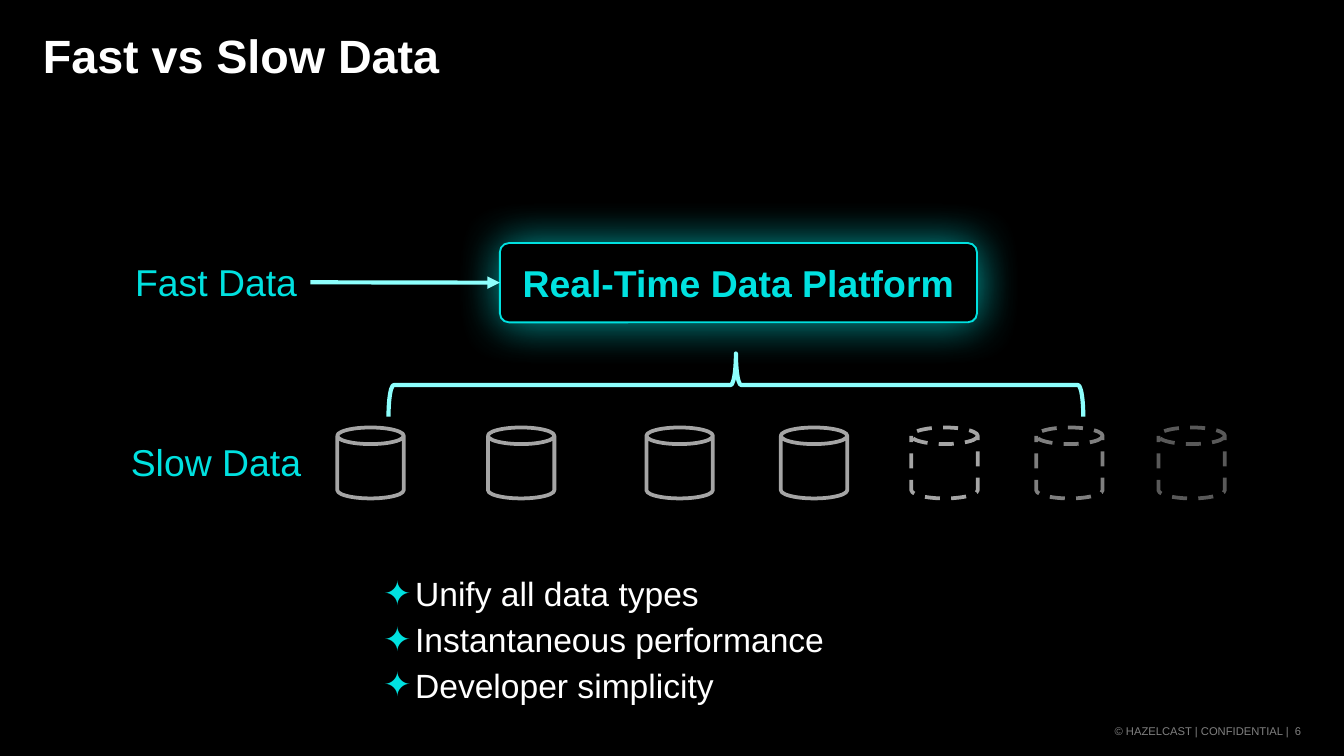
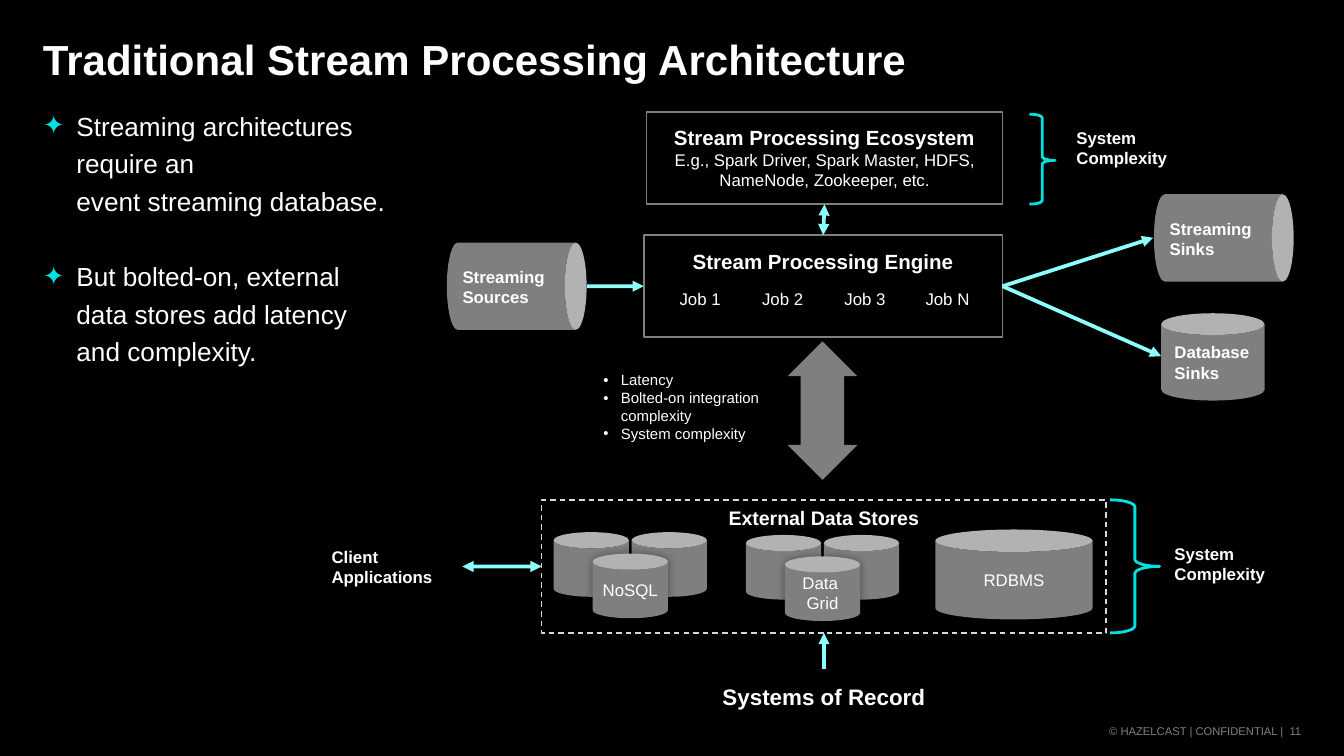
"""Build two dark slides on fast data and stream processing."""
import pptx
import pptx.dml.color
import pptx.enum.dml
import pptx.enum.shapes
import pptx.enum.text
import pptx.oxml
import pptx.oxml.ns
import pptx.util

Pt = pptx.util.Pt
rgb = pptx.dml.color.RGBColor.from_string
SHAPE = pptx.enum.shapes.MSO_SHAPE
ALIGN = pptx.enum.text.PP_ALIGN
ANCHOR = pptx.enum.text.MSO_ANCHOR
DASH = pptx.enum.dml.MSO_LINE.DASH
CENTER, RIGHT, MIDDLE = ALIGN.CENTER, ALIGN.RIGHT, ANCHOR.MIDDLE
NS = pptx.oxml.ns.nsdecls("a")

BLACK, WHITE, GRAY, SILVER = "000000", "FFFFFF", "7F7F7F", "A5A5A5"
CYAN, PALE = "00E1E0", "8DFFFD"
FONT = "Arial"
STAR = ("✦", CYAN)
SNUG = (5, 3, 5, 3)
WIDE = (7.2, 3.6, 7.2, 3.6)
EVEN = (7.2, 7.2, 7.2, 7.2)
THIN = (3, 3, 3, 3)
NONE = (0, 0, 0, 0)


def put(slide, kind, box, fill=None, line=None, width=1, dash=None,
        turn=0, adjust=(), glow=None):
    """Add a preset shape, or a text box when kind is None."""
    box = [Pt(v) for v in box]
    if kind is None:
        return slide.shapes.add_textbox(*box)
    shape = slide.shapes.add_shape(kind, *box)
    shape.shadow.inherit = False
    shape.rotation = turn
    for i, value in enumerate(adjust):
        shape.adjustments[i] = value
    if fill:
        shape.fill.solid()
        shape.fill.fore_color.rgb = rgb(fill)
    else:
        shape.fill.background()
    if line:
        shape.line.color.rgb = rgb(line)
        shape.line.width = Pt(width)
        shape.line.dash_style = dash
    else:
        shape.line.fill.background()
    if glow:
        color, alpha, blur = glow
        effect = shape._element.spPr.find(pptx.oxml.ns.qn("a:effectLst"))
        effect.append(pptx.oxml.parse_xml(
            f'<a:outerShdw {NS} blurRad="{Pt(blur)}" dist="0" dir="0" algn="ctr" '
            f'rotWithShape="0"><a:srgbClr val="{color}">'
            f'<a:alpha val="{alpha * 1000}"/></a:srgbClr></a:outerShdw>'))
    return shape


def write(shape, texts, size, color=WHITE, bold=False, align=ALIGN.LEFT,
          anchor=ANCHOR.TOP, inset=SNUG, space=None, before=0, bullet=None,
          indent=(0, 0)):
    """Fill a shape with paragraphs; a newline is a line break."""
    frame = shape.text_frame
    frame.word_wrap = True
    frame.auto_size = pptx.enum.text.MSO_AUTO_SIZE.NONE
    frame.vertical_anchor = anchor
    (frame.margin_left, frame.margin_top,
     frame.margin_right, frame.margin_bottom) = [Pt(v) for v in inset]
    for n, text in enumerate(texts):
        para = frame.add_paragraph() if n else frame.paragraphs[0]
        para.alignment = align
        para.space_before = Pt(before if n else 0)
        if space:
            para.line_spacing = space
        if bullet:
            mark, tint = bullet
            props = para._p.get_or_add_pPr()
            props.set("marL", str(Pt(indent[0])))
            props.set("indent", str(Pt(indent[1])))
            for xml in (f'<a:buClr {NS}><a:srgbClr val="{tint}"/></a:buClr>',
                        f'<a:buFont {NS} typeface="{FONT}"/>',
                        f'<a:buChar {NS} char="{mark}"/>'):
                props.append(pptx.oxml.parse_xml(xml))
        for i, part in enumerate(text.split("\n")):
            if i:
                para.add_line_break()
            run = para.add_run()
            run.text = part
            run.font.name = FONT
            run.font.size = Pt(size)
            run.font.bold = bold
            run.font.color.rgb = rgb(color)
    return shape


deck = pptx.Presentation()
deck.slide_width, deck.slide_height = Pt(720), Pt(405)
ground = deck.slide_master.background.fill
ground.solid()
ground.fore_color.rgb = rgb(BLACK)

pages = []
for title, size, inset, number in (
        ("Fast vs Slow Data", 25, (5, 0, 5, 0), 6),
        ("Traditional Stream Processing Architecture", 22.5, SNUG, 11)):
    page = deck.slides.add_slide(deck.slide_layouts[5])
    head = page.shapes.title
    head.left, head.top, head.width, head.height = Pt(18), Pt(18), Pt(684), Pt(28)
    write(head, [title], size, bold=True, inset=inset, space=0.9)
    write(put(page, None, (507, 385.2, 195, 12.2)),
          [f"© HAZELCAST | CONFIDENTIAL |  {number}"], 6, "808080", align=RIGHT)
    pages.append(page)
fast, stream = pages

for left, color, dash in (
        (180.7, SILVER, None), (261.4, SILVER, None), (346.3, SILVER, None),
        (418.3, SILVER, None), (488.2, SILVER, DASH), (555.1, GRAY, DASH),
        (620.6, "595959", DASH)):
    put(fast, SHAPE.CAN, (left, 229, 35.6, 38), line=color, width=2, dash=dash)
write(put(fast, None, (62, 231.8, 106.5, 31.5)), ["Slow Data"], 20, CYAN,
      align=RIGHT, inset=WIDE)
label = write(put(fast, None, (64, 135.5, 102.3, 31.5)), ["Fast Data"], 20, CYAN,
              align=RIGHT, inset=WIDE)
platform = put(fast, SHAPE.ROUNDED_RECTANGLE, (267.8, 130.2, 255.6, 42.5), BLACK,
               CYAN, adjust=[0.115], glow=(CYAN, 73, 24))
write(platform, ["Real-Time Data Platform"], 20, CYAN, True, CENTER, MIDDLE, WIDE)
put(fast, SHAPE.LEFT_BRACE, (377.3, 20.2, 33.8, 372.2), line=PALE, width=2.25,
    turn=90, adjust=[0.083, 0.5])
write(put(fast, None, (197.3, 306, 423.4, 81.4)),
      ["Unify all data types", "Instantaneous performance", "Developer simplicity"],
      18, inset=WIDE, space=0.9, before=5, bullet=STAR, indent=(18, -17))

write(put(stream, None, (18, 52.6, 194.4, 322.6)),
      ["Streaming architectures require an\nevent streaming database.",
       "But bolted-on, external data stores add latency and complexity."],
      14, space=1.2, before=20, bullet=STAR, indent=(18, -18))
put(stream, SHAPE.UP_DOWN_ARROW, (421.9, 182.9, 37.4, 74.2), GRAY,
    adjust=[0.588, 0.621])
write(put(stream, None, (318.2, 195.8, 108.7, 43.9)),
      ["Latency", "Bolted-on integration complexity", "System complexity"],
      8, bullet=("•", WHITE), indent=(9.4, -9.4))

system = put(stream, SHAPE.RECTANGLE, (346.3, 59.8, 190.8, 49.7), BLACK, GRAY)
write(system, ["Stream Processing Ecosystem",
               "E.g., Spark Driver, Spark Master, HDFS, NameNode, Zookeeper, etc."],
      11, bold=True, align=CENTER, inset=EVEN)
detail = system.text_frame.paragraphs[1].runs[0].font
detail.size, detail.bold = Pt(9), False
engine = put(stream, SHAPE.RECTANGLE, (344.9, 126, 192.2, 54.7), BLACK, GRAY)
write(engine, ["Stream Processing Engine"], 11, bold=True, align=CENTER, inset=EVEN)
for i, job in enumerate("123N"):
    box = put(stream, SHAPE.RECTANGLE, (357.1 + 44.16 * i, 150.8, 36, 18.6),
              BLACK, BLACK, 0.75)
    write(box, [f"Job {job}"], 9, align=CENTER, anchor=MIDDLE)

for brace, bend, place in (
        ((551.5, 61.2, 13.7, 48.2), 0.513, (571.7, 65.5)),
        ((594.7, 267.8, 26.6, 71.3), 0.5, (624.2, 288))):
    put(stream, SHAPE.RIGHT_BRACE, brace, line=CYAN, width=1.5, adjust=[0.14, bend])
    write(put(stream, None, (*place, 74.9, 27.4)), ["System Complexity"], 9, bold=True)

for left, top, text in ((632.2, 90, "Streaming Sinks"),
                        (253.4, 115.9, "Streaming Sources")):
    put(stream, SHAPE.CAN, (left, top, 46.8, 74.9), GRAY, turn=90)
    write(put(stream, None, (left - 8.6, top + 14.4, 57.6, 46.8)), [text], 9,
          bold=True, anchor=MIDDLE, inset=THIN)
write(put(stream, SHAPE.CAN, (622.1, 167.8, 55.4, 46.8), GRAY), ["Database Sinks"],
      9, bold=True, anchor=MIDDLE, inset=(7.2, 3, 3, 3))

stores = put(stream, SHAPE.RECTANGLE, (290.2, 267.8, 302.4, 71.3), None,
             "D8D8D8", 0.75, DASH)
write(stores, ["External Data Stores"], 10.5, bold=True, align=CENTER)
shade = (BLACK, 40, 5)
fronts = [(501.1, 283.7, 84.2, 48.2, "RDBMS")]
for left, top, text in ((296.6, 285.1, "NoSQL"), (399.6, 286.6, "Data \nGrid")):
    for shift in (41.8, 0):
        put(stream, SHAPE.CAN, (left + shift, top, 40.3, 34.6), GRAY)
    fronts.append((left + 20.9, top + 11.5, 40.3, 34.6, text))
for *box, text in fronts:
    write(put(stream, SHAPE.CAN, box, GRAY, glow=shade), [text], 9,
          align=CENTER, anchor=MIDDLE, inset=NONE)

client = put(stream, SHAPE.OVAL, (165.6, 272.2, 82.1, 62.6), BLACK, BLACK, 0.75)
write(client, ["Client", "Applications"], 9, bold=True, anchor=MIDDLE, inset=NONE)
record = put(stream, SHAPE.RECTANGLE, (290.2, 358.6, 302.4, 28.8), BLACK)
write(record, ["Systems of Record"], 12, bold=True, align=CENTER, inset=EVEN)

for page, start, end, width, ends, source, target in (
        (fast, (166.3, 151.2), (267.8, 151.2), 2.25, ["tail"], (label, 3), (platform, 1)),
        (stream, (314.6, 153.4), (344.9, 153.4), 2, ["tail"], None, (engine, 1)),
        (stream, (537.1, 153.4), (617.8, 127.4), 2, ["tail"], (engine, 3), None),
        (stream, (537.1, 153.4), (622.1, 190.8), 2, ["tail"], (engine, 3), None),
        (stream, (441.4, 109.5), (441.4, 126), 2, ["head", "tail"], (system, 2), (engine, 0)),
        (stream, (441.4, 358.6), (441.4, 339.1), 2, ["tail"], (record, 0), (stores, 2)),
        (stream, (247.7, 303.5), (290.2, 303.5), 2, ["head", "tail"], None, (stores, 1))):
    link = page.shapes.add_connector(pptx.enum.shapes.MSO_CONNECTOR.STRAIGHT,
                                     *[Pt(v) for v in start + end])
    if source:
        link.begin_connect(*source)
    if target:
        link.end_connect(*target)
    link.line.color.rgb = rgb(PALE)
    link.line.width = Pt(width)
    props = link._element.spPr
    for tip in ends:
        props.find(pptx.oxml.ns.qn("a:ln")).append(
            pptx.oxml.parse_xml(f'<a:{tip}End {NS} type="triangle"/>'))
    props.append(pptx.oxml.parse_xml(f"<a:effectLst {NS}/>"))

deck.save("out.pptx")
